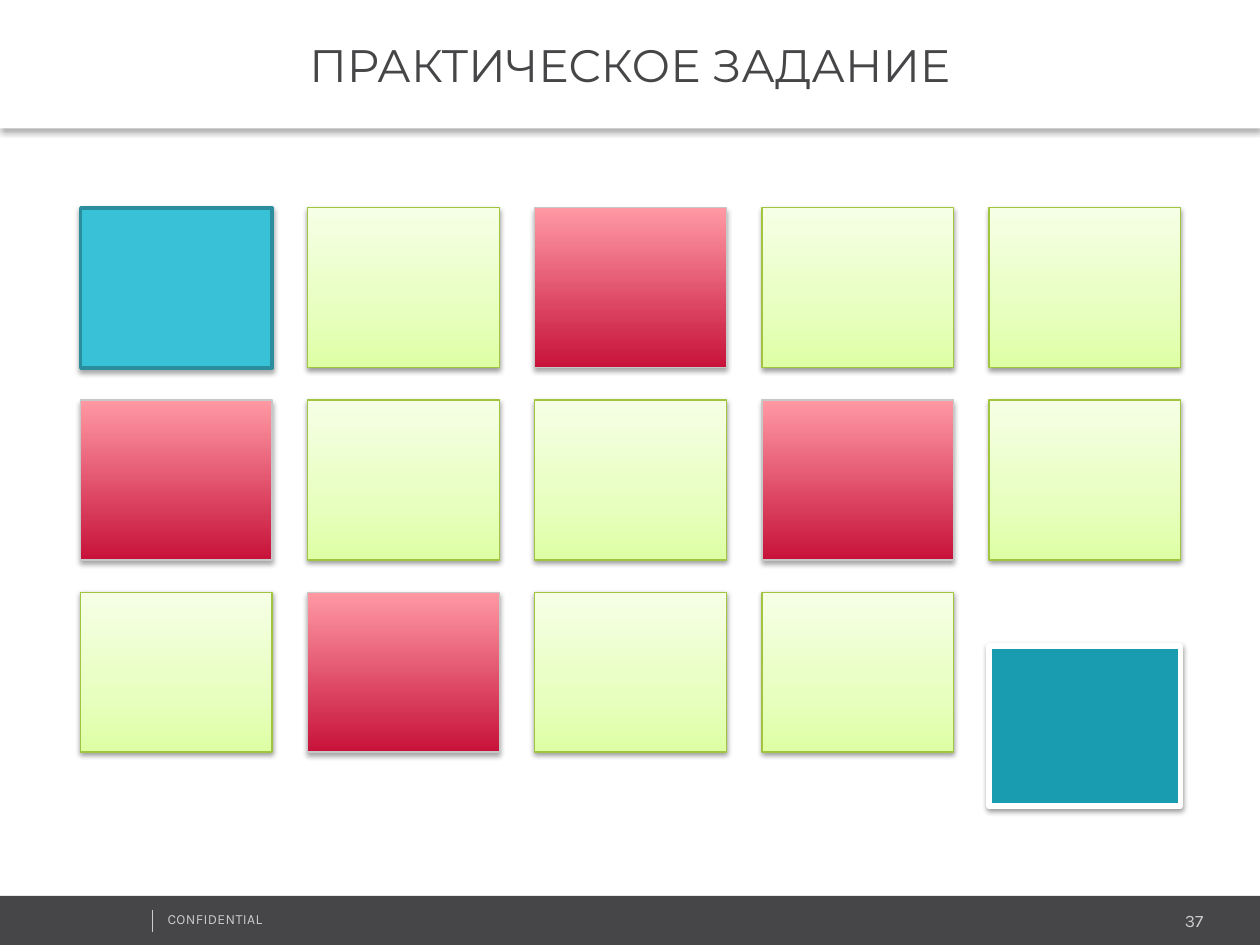
from dataclasses import dataclass
from typing import NamedTuple, Optional

from lxml.etree import SubElement
from pptx import Presentation
from pptx.dml.color import RGBColor
from pptx.enum.shapes import MSO_CONNECTOR, MSO_SHAPE
from pptx.enum.text import MSO_ANCHOR, MSO_AUTO_SIZE, PP_ALIGN
from pptx.oxml.ns import qn
from pptx.util import Emu, Inches, Pt


class Shadow(NamedTuple):
    opacity: int
    distance: float
    blur: float = 3


class CellStyle(NamedTuple):
    stops: tuple[tuple[int, str], ...]
    border: str
    border_width: float
    shadow: Shadow


class Cell(NamedTuple):
    column: float
    row: float
    style: CellStyle


class TextStyle(NamedTuple):
    font: str
    size: float
    color: str
    spacing: int = 0


class Box(NamedTuple):
    left: Emu
    top: Emu
    width: Emu
    height: Emu


@dataclass(frozen=True)
class Theme:
    white: str = "FFFFFF"
    dark: str = "464547"
    muted: str = "CCCCCC"
    shadow: str = "000000"
    title: TextStyle = TextStyle("Montserrat", 26, "464547")
    label: TextStyle = TextStyle("Karla", 8, "CCCCCC", 20)
    page: TextStyle = TextStyle("Karla", 10, "CCCCCC")
    header_shadow: Shadow = Shadow(30, 2)
    start: CellStyle = CellStyle(((0, "39C2D7"),), "2A8E9D", 2, Shadow(35, 1.8))
    free: CellStyle = CellStyle(
        ((0, "DEFFA4"), (35, "E7FFBF"), (100, "F6FFE6")), "A1C53F", 0.75, Shadow(38, 1.6)
    )
    blocked: CellStyle = CellStyle(
        ((0, "C7123A"), (100, "FF99A4")), "C7C7C7", 0.75, Shadow(35, 1.8)
    )
    finish: CellStyle = CellStyle(((0, "1A9CB0"),), "FFFFFF", 3, Shadow(38, 1.6))


@dataclass(frozen=True)
class Grid:
    left: float = 0.64
    top: float = 1.65
    column_step: float = (7.85 - 0.64) / 4
    row_step: float = (4.7 - 1.65) / 2
    cell_width: float = 1.52
    cell_height: float = 1.27

    def box(self, column: float, row: float) -> Box:
        return inches(
            self.left + column * self.column_step,
            self.top + row * self.row_step,
            self.cell_width,
            self.cell_height,
        )


THEME = Theme()
GRID = Grid()
BOARD = ("SFBFF", "BFFBF", "FBFF")
FINISH_ROW = 2.28
STYLES = {"S": THEME.start, "F": THEME.free, "B": THEME.blocked}


def inches(*lengths: float) -> Box:
    return Box(*map(Inches, lengths))


def rgb(color: str) -> RGBColor:
    return RGBColor.from_string(color)


def add_shadow(panel, shadow: Shadow) -> None:
    effects = panel._element.spPr.find(qn("a:effectLst"))
    outer = SubElement(
        effects,
        qn("a:outerShdw"),
        blurRad=str(Pt(shadow.blur)),
        dist=str(Pt(shadow.distance)),
        dir="5400000",
        rotWithShape="0",
    )
    tint = SubElement(outer, qn("a:srgbClr"), val=THEME.shadow)
    SubElement(tint, qn("a:alpha"), val=str(shadow.opacity * 1000))


def paint(panel, stops: tuple[tuple[int, str], ...]) -> None:
    if len(stops) == 1:
        panel.fill.solid()
        panel.fill.fore_color.rgb = rgb(stops[0][1])
        return
    panel.fill.gradient()
    panel.fill.gradient_angle = 90
    stop_list = panel._element.spPr.find(qn("a:gradFill")).find(qn("a:gsLst"))
    stop_list.clear()
    for position, color in stops:
        stop = SubElement(stop_list, qn("a:gs"), pos=str(position * 1000))
        SubElement(stop, qn("a:srgbClr"), val=color)


def add_panel(slide, box: Box, stops, shadow: Optional[Shadow] = None):
    panel = slide.shapes.add_shape(MSO_SHAPE.RECTANGLE, *box)
    paint(panel, stops)
    panel.line.fill.background()
    panel.shadow.inherit = False
    if shadow:
        add_shadow(panel, shadow)
    return panel


def add_cell(slide, cell: Cell) -> None:
    style = cell.style
    tile = add_panel(slide, GRID.box(cell.column, cell.row), style.stops, style.shadow)
    tile.line.color.rgb = rgb(style.border)
    tile.line.width = Pt(style.border_width)


def write(frame, text: str, style: TextStyle, align: PP_ALIGN, wrap: bool = True):
    frame.margin_left = frame.margin_right = Inches(0.05)
    frame.margin_top = frame.margin_bottom = Inches(0.05)
    frame.word_wrap = wrap
    paragraph = frame.paragraphs[0]
    paragraph.alignment = align
    run = paragraph.add_run()
    run.text = text
    run.font.name = style.font
    run.font.size = Pt(style.size)
    run.font.color.rgb = rgb(style.color)
    if style.spacing:
        run._r.get_or_add_rPr().set("spc", str(style.spacing))
    return paragraph


def add_caption(slide, box: Box, text: str, style: TextStyle, align: PP_ALIGN, wrap: bool) -> None:
    frame = slide.shapes.add_textbox(*box).text_frame
    write(frame, text, style, align, wrap)
    frame.auto_size = MSO_AUTO_SIZE.SHAPE_TO_FIT_TEXT


def add_footer(slide) -> None:
    add_panel(slide, inches(0, 7.11, 10, 0.4), ((0, THEME.dark),))
    add_caption(slide, inches(1.28, 7.18, 2.53, 0.24), "CONFIDENTIAL", THEME.label, PP_ALIGN.LEFT, True)
    divider = slide.shapes.add_connector(MSO_CONNECTOR.STRAIGHT, *inches(1.21, 7.22, 1.21, 7.4))
    divider.line.color.rgb = rgb(THEME.muted)
    divider.line.width = Pt(0.25)
    SubElement(divider._element.spPr, qn("a:effectLst"))
    add_caption(slide, inches(9.34, 7.17, 0.26, 0.25), "37", THEME.page, PP_ALIGN.RIGHT, False)


def add_header(slide) -> None:
    header = add_panel(slide, inches(0, 0, 10, 1.02), ((0, THEME.white),), THEME.header_shadow)
    header.text_frame.vertical_anchor = MSO_ANCHOR.MIDDLE
    title = write(header.text_frame, "ПРАКТИЧЕСКОЕ ЗАДАНИЕ", THEME.title, PP_ALIGN.CENTER)
    title.space_before = Pt(6)


def main() -> None:
    deck = Presentation()
    deck.slide_width, deck.slide_height = Inches(10), Inches(7.5)
    slide = deck.slides.add_slide(deck.slide_layouts[6])
    add_footer(slide)
    add_header(slide)
    for row, marks in enumerate(BOARD):
        for column, mark in enumerate(marks):
            add_cell(slide, Cell(column, row, STYLES[mark]))
    add_cell(slide, Cell(4, FINISH_ROW, THEME.finish))
    deck.save("out.pptx")


if __name__ == "__main__":
    main()
